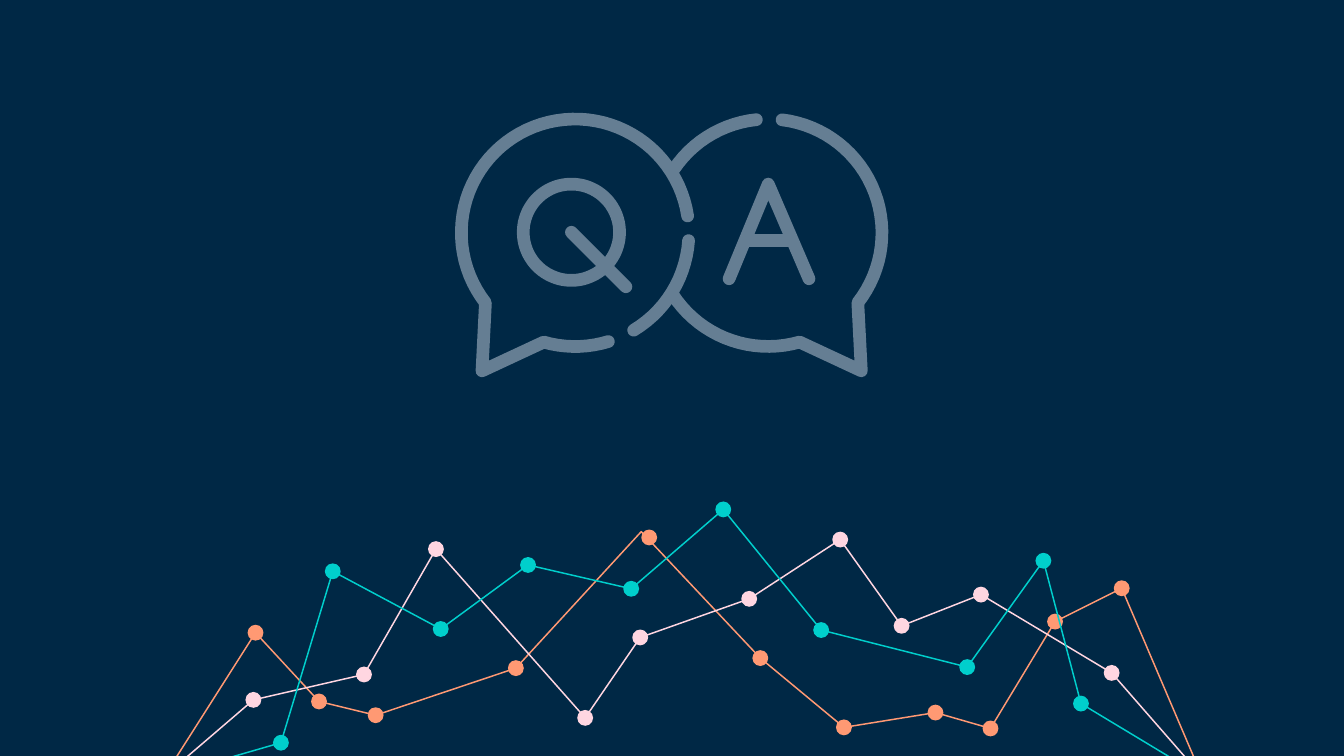
import math
from dataclasses import dataclass

import pptx
import pptx.dml.color
import pptx.enum.shapes
import pptx.oxml.ns
import pptx.util
from lxml import etree
from pptx.util import Cm


@dataclass(frozen=True)
class Theme:
    background: str = "002845"
    icon: str = "657E93"
    orange: str = "FF9973"
    pink: str = "FFD6E1"
    teal: str = "00CFCC"
    icon_stroke: float = 6.8
    series_stroke: float = 0.8


@dataclass(frozen=True)
class Box:
    left: float
    top: float
    width: float
    height: float

    def place(self, point):
        return Cm(self.left + point[0]), Cm(self.top + point[1])


THEME = Theme()
DOT_SIZE = 0.3

ORANGE_DOTS = [
    (1.73, 2.56), (2.93, 3.86), (4.0, 4.12), (6.65, 3.23), (9.17, 0.76), (11.27, 3.04),
    (12.85, 4.35), (14.58, 4.07), (15.62, 4.37), (16.84, 2.35), (18.1, 1.72),
]
ORANGE_PEAK = 4
ORANGE_PEAK_VERTEX = (9.02, 0.65)
PINK_DOTS = [
    (1.69, 3.83), (3.78, 3.35), (5.14, 0.98), (7.96, 4.17), (9.0, 2.65),
    (11.06, 1.92), (12.78, 0.8), (13.94, 2.43), (15.44, 1.84), (17.91, 3.32),
]
TEAL_DOTS = [
    (2.21, 4.64), (3.19, 1.4), (5.23, 2.49), (6.88, 1.28), (8.83, 1.73),
    (10.57, 0.23), (12.42, 2.51), (15.18, 3.21), (16.62, 1.2), (17.33, 3.9),
]


def rgb(color):
    return pptx.dml.color.RGBColor.from_string(color)


def arc(center, radius, start, end):
    steps = max(1, math.ceil(abs(end - start) / 4))
    angles = [math.radians(start + (end - start) * i / steps) for i in range(steps + 1)]
    return [
        (center[0] + radius * math.cos(a), center[1] + radius * math.sin(a)) for a in angles
    ]


def draw_strokes(group, box, strokes, color, weight):
    first, *others = [[box.place(point) for point in stroke] for stroke in strokes]
    builder = group.shapes.build_freeform(*first[0])
    builder.add_line_segments(first[1:], close=False)
    for stroke in others:
        builder.move_to(*stroke[0])
        builder.add_line_segments(stroke[1:], close=False)
    shape = builder.convert_to_shape()
    shape.shadow.inherit = False
    shape.fill.background()
    shape.line.color.rgb = rgb(color)
    shape.line.width = pptx.util.Pt(weight)
    line = shape.element.spPr.find(pptx.oxml.ns.qn("a:ln"))
    line.set("cap", "rnd")
    etree.SubElement(line, pptx.oxml.ns.qn("a:round"))


def draw_dot(group, box, center, color):
    corner = (center[0] - DOT_SIZE / 2, center[1] - DOT_SIZE / 2)
    dot = group.shapes.add_shape(
        pptx.enum.shapes.MSO_SHAPE.OVAL, *box.place(corner), Cm(DOT_SIZE), Cm(DOT_SIZE)
    )
    dot.shadow.inherit = False
    dot.fill.solid()
    dot.fill.fore_color.rgb = rgb(color)
    dot.line.fill.background()


def add_line_pattern(page, box):
    group = page.shapes.add_group_shape()
    orange_vertices = list(ORANGE_DOTS)
    orange_vertices[ORANGE_PEAK] = ORANGE_PEAK_VERTEX
    series = [
        (THEME.orange, ORANGE_DOTS, orange_vertices),
        (THEME.pink, PINK_DOTS, PINK_DOTS),
        (THEME.teal, TEAL_DOTS, TEAL_DOTS),
    ]
    start, end = (0, box.height), (box.width, box.height)
    for color, dots, vertices in series:
        draw_strokes(group, box, [[start, *vertices, end]], color, THEME.series_stroke)
        for center in dots:
            draw_dot(group, box, center, color)


def add_question_answer_icon(page, box):
    group = page.shapes.add_group_shape()
    radius = 2.15
    left_center = (2.3, 2.27)
    right_center = (box.width - left_center[0], left_center[1])
    left_tip = (0.54, 4.88)
    right_tip = (box.width - left_tip[0], left_tip[1])

    answer_bubble = [
        arc(right_center, radius, 277, 398)
        + [right_tip]
        + arc(right_center, radius, 74, 147),
        arc(left_center, radius, 4, 59),
    ]
    question_bubble = [
        arc(left_center, radius, 73, 106)
        + [left_tip]
        + arc(left_center, radius, 142, 351.5),
        arc(right_center, radius, 264, 214),
    ]
    letter_center = (2.23, 2.26)
    letter_q = [arc(letter_center, 0.91, 0, 360), [letter_center, (3.26, 3.29)]]
    letter_a = [[(5.21, 3.14), (5.95, 1.35), (6.72, 3.14)], [(5.6, 2.42), (6.36, 2.42)]]

    for strokes in (answer_bubble, question_bubble, letter_q, letter_a):
        draw_strokes(group, box, strokes, THEME.icon, THEME.icon_stroke)


def main():
    deck = pptx.Presentation()
    deck.slide_width, deck.slide_height = Cm(25.4), Cm(14.29)
    page = deck.slides.add_slide(deck.slide_layouts.get_by_name("Blank"))
    page.background.fill.solid()
    page.background.fill.fore_color.rgb = rgb(THEME.background)
    add_line_pattern(page, Box(3.1, 9.4, 19.62, 5.28))
    add_question_answer_icon(page, Box(8.57, 2.13, 8.25, 5))
    deck.save("out.pptx")


if __name__ == "__main__":
    main()
